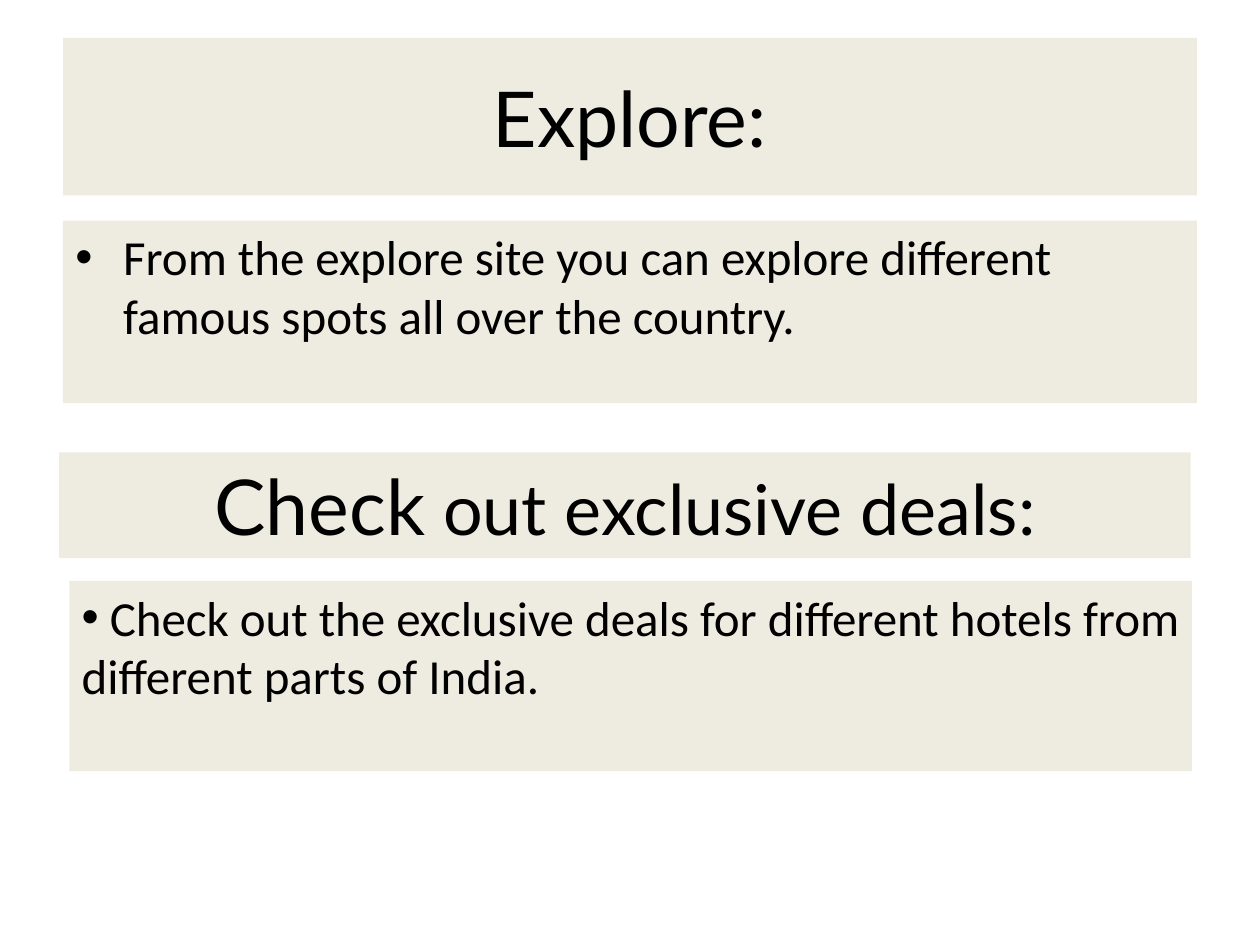
from lxml.etree import SubElement
from pptx import Presentation
from pptx.dml.color import RGBColor
from pptx.enum.text import MSO_ANCHOR, MSO_AUTO_SIZE, PP_ALIGN
from pptx.oxml.ns import qn
from pptx.util import Inches, Pt

COLORS = {"panel": "EEECE1", "text": "000000"}
HEADING_FONT = "Lato"
BODY_FONT = "Calibri"


def style_panel(box, left, top, width, height, anchor):
    """Place a box, fill it and set up its text frame."""
    places = {"left": left, "top": top, "width": width, "height": height}
    for name, value in places.items():
        setattr(box, name, Inches(value))
    box.fill.solid()
    box.fill.fore_color.rgb = RGBColor.from_string(COLORS["panel"])
    frame_format = {
        "word_wrap": True,
        "auto_size": MSO_AUTO_SIZE.NONE,
        "vertical_anchor": anchor,
    }
    for name, value in frame_format.items():
        setattr(box.text_frame, name, value)


def add_span(para, text, font_name, size):
    span = para.add_run()
    span.text = text
    font_format = {"name": font_name, "size": Pt(size)}
    for name, value in font_format.items():
        setattr(span.font, name, value)
    span.font.color.rgb = RGBColor.from_string(COLORS["text"])


def fill_heading(box, place, spans, anchor=MSO_ANCHOR.TOP):
    """Write a centred heading from (text, size) pairs."""
    style_panel(box, *place, anchor)
    para = box.text_frame.paragraphs[0]
    para.alignment = PP_ALIGN.CENTER
    for text, size in spans:
        add_span(para, text, HEADING_FONT, size)


def add_bullet_panel(page, place, text, hanging=0):
    """Add a panel with one bulleted paragraph."""
    box = page.shapes.add_textbox(0, 0, 0, 0)
    style_panel(box, *place, MSO_ANCHOR.TOP)
    para = box.text_frame.paragraphs[0]
    properties = para._p.get_or_add_pPr()
    properties.set("marL", str(Inches(hanging)))
    properties.set("indent", str(-Inches(hanging)))
    SubElement(properties, qn("a:buFont"), typeface="Arial")
    SubElement(properties, qn("a:buChar"), char="•")
    add_span(para, text, BODY_FONT, 28)


def main():
    deck = Presentation()
    deck.slide_width, deck.slide_height = Inches(10), Inches(7.5)
    page = deck.slides.add_slide(deck.slide_layouts[5])

    # Explore section
    fill_heading(page.shapes.title, (0.5, 0.3, 9, 1.25),
                 [("Explore:", 44)], MSO_ANCHOR.MIDDLE)
    add_bullet_panel(
        page, (0.5, 1.75, 9, 1.45),
        "From the explore site you can explore different famous spots "
        "all over the country.", hanging=0.38)

    # Deals section
    deals_heading = page.shapes.add_textbox(0, 0, 0, 0)
    fill_heading(deals_heading, (0.47, 3.59, 8.98, 0.84),
                 [("Check", 44), (" out exclusive deals:", 40)])
    add_bullet_panel(
        page, (0.55, 4.61, 8.91, 1.51),
        " Check out the exclusive deals for different hotels "
        "from different parts of India.")

    deck.save("out.pptx")


if __name__ == "__main__":
    main()
